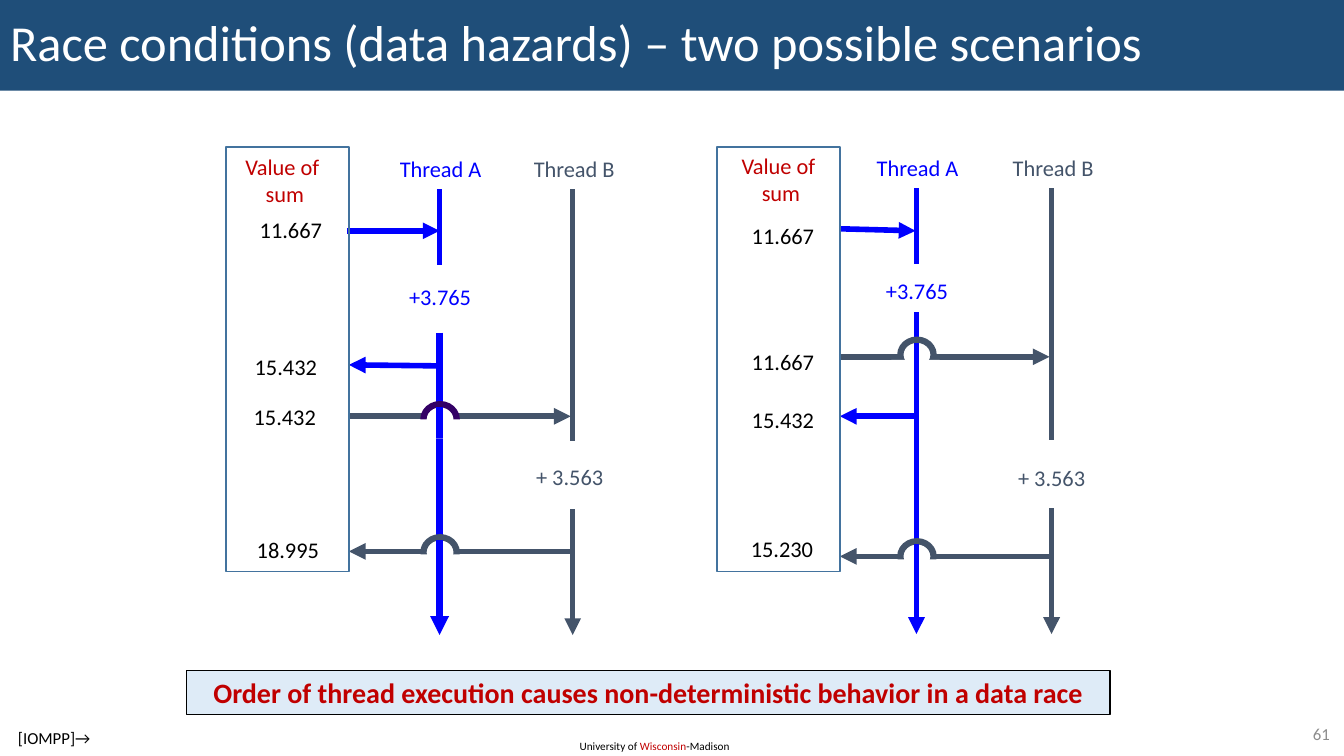
"""Build a slide comparing two thread interleavings that race on a shared sum."""
from lxml import etree
from pptx import Presentation
from pptx.dml.color import RGBColor
from pptx.enum.shapes import MSO_CONNECTOR, MSO_SHAPE
from pptx.enum.text import MSO_ANCHOR, MSO_AUTO_SIZE, PP_ALIGN
from pptx.oxml.ns import qn
from pptx.util import Inches, Pt

STRAIGHT = MSO_CONNECTOR.STRAIGHT
RECTANGLE, OVAL = MSO_SHAPE.RECTANGLE, MSO_SHAPE.OVAL
LEFT, CENTER, RIGHT = PP_ALIGN.LEFT, PP_ALIGN.CENTER, PP_ALIGN.RIGHT
MIDDLE = MSO_ANCHOR.MIDDLE
FIT_SHAPE, NO_FIT = MSO_AUTO_SIZE.SHAPE_TO_FIT_TEXT, MSO_AUTO_SIZE.NONE
COLORS = {
    "navy": "1F4E79", "white": "FFFFFF", "black": "000000", "red": "C00000",
    "thread_a": "0000FF", "thread_b": "44546A", "purple": "330066",
    "frame": "43739E", "pale": "DEEBF7", "gray": "8C8C8C",
}
RGB = {name: RGBColor.from_string(value) for name, value in COLORS.items()}

deck = Presentation()
deck.slide_width, deck.slide_height = Inches(13.33), Inches(7.5)
page = deck.slides.add_slide(deck.slide_layouts[5])


def write(box, lines, size, align, bold=False):
    """Fill a shape with lines, each a list of (text, color) runs."""
    frame = box.text_frame
    for index, line in enumerate(lines):
        para = frame.paragraphs[0] if index == 0 else frame.add_paragraph()
        para.alignment = align
        for text, color in line:
            span = para.add_run()
            span.text = text
            span.font.name, span.font.size, span.font.bold = "Calibri", Pt(size), bold
            span.font.color.rgb = RGB[color]


def draw_line(start, end, color, width=4, arrow=False):
    """Draw a straight line, with a triangle at its end if asked."""
    line = page.shapes.add_connector(STRAIGHT, *map(Inches, start + end))
    line.line.color.rgb = RGB[color]
    line.line.width = Pt(width)
    if arrow:
        etree.SubElement(line.line._get_or_add_ln(), qn("a:tailEnd"), type="triangle")
    etree.SubElement(line._element.spPr, qn("a:effectLst"))


title = page.shapes.title
title.left, title.top = Inches(0), Inches(0)
title.width, title.height = Inches(13.33), Inches(0.9)
title.fill.solid()
title.fill.fore_color.rgb = RGB["navy"]
title.text_frame.vertical_anchor = MIDDLE
title.text_frame.word_wrap = True
title.text_frame.auto_size = NO_FIT
write(title, [[("Race conditions (data hazards) – two possible scenarios", "white")]], 36, LEFT)
title.text_frame.paragraphs[0].line_spacing = 0.9

scenarios = [
    {
        "frame": 2.24, "a": 4.36, "b": 5.68, "top": 1.88, "resume_a": 3.3, "width_a": 4.5,
        "labels": [
            ("Value of \nsum", 2.33, 1.47, 0.99, "red"),
            ("Thread A", 3.86, 1.49, 1.02, "thread_a"),
            ("Thread B", 5.19, 1.49, 1.01, "thread_b"),
            ("11.667", 2.47, 2.1, 0.83, "black"),
            ("+3.765", 3.95, 2.76, 0.83, "thread_a"),
            ("15.432", 2.42, 3.45, 0.83, "black"),
            ("15.432", 2.41, 3.95, 0.83, "black"),
            ("+ 3.563", 5.21, 4.55, 0.88, "thread_b"),
            ("18.995", 2.44, 5.27, 0.83, "black"),
        ],
        "transfers": [((3.44, 2.29), (4.36, 2.29)), ((4.36, 3.63), (3.46, 3.62))],
        "crossings": [(5.47, 5.33, "write", "thread_b"), (4.13, 4.01, "read", "purple")],
    },
    {
        "frame": 7.11, "a": 9.09, "b": 10.43, "top": 1.87, "resume_a": 3.1, "width_a": 4,
        "labels": [
            ("Value of \nsum", 7.25, 1.46, 0.99, "red"),
            ("Thread A", 8.59, 1.48, 1.02, "thread_a"),
            ("Thread B", 9.94, 1.48, 1.01, "thread_b"),
            ("11.667", 7.35, 2.15, 0.83, "black"),
            ("+3.765", 8.68, 2.7, 0.83, "thread_a"),
            ("11.667", 7.35, 3.4, 0.83, "black"),
            ("15.432", 7.35, 3.98, 0.83, "black"),
            ("+ 3.563", 9.99, 4.56, 0.88, "thread_b"),
            ("15.230", 7.34, 5.26, 0.83, "black"),
        ],
        "transfers": [((8.33, 2.27), (9.08, 2.29)), ((9.09, 4.13), (8.33, 4.13))],
        "crossings": [(5.52, 5.37, "write", "thread_b"), (3.54, 3.37, "read", "thread_b")],
    },
]

for scenario in scenarios:
    a, b, top, width_a = (scenario[key] for key in ("a", "b", "top", "width_a"))
    frame_right = scenario["frame"] + 1.22
    bottom = top + 4.42

    for text, left, label_top, width, color in scenario["labels"]:
        lines = [[(line, color)] for line in text.split("\n")]
        height = 0.1 + 0.27 * len(lines)
        box = page.shapes.add_textbox(*map(Inches, (left, label_top, width, height)))
        box.text_frame.word_wrap = False
        box.text_frame.auto_size = FIT_SHAPE
        write(box, lines, 16, CENTER)

    for start, end in scenario["transfers"]:
        draw_line(start, end, "thread_a", arrow=True)
    draw_line((a, top), (a, top + 0.75), "thread_a")
    draw_line((a, scenario["resume_a"]), (a, bottom), "thread_a", width_a, arrow=True)
    draw_line((b, top), (b, top + 2.5), "thread_b")
    draw_line((b, top + 3.17), (b, bottom), "thread_b", arrow=True)

    for level, hop_top, action, hop_color in scenario["crossings"]:
        reads = action == "read"
        near, far = (a - 0.16, level), (a + 0.17, level)
        draw_line(near, (frame_right, level), "thread_b", arrow=not reads)
        draw_line(far, (b - 0.02, level), "thread_b", arrow=reads)
        hop = page.shapes.add_shape(OVAL, *map(Inches, (a - 0.16, hop_top, 0.33, 0.3)))
        hop.line.color.rgb = RGB[hop_color]
        hop.line.width = Pt(4.5)
        mask = page.shapes.add_shape(RECTANGLE, *map(Inches, (a - 0.25, level + 0.03, 0.48, 0.19)))
        mask.line.fill.background()
        for shape in (hop, mask):
            shape.shadow.inherit = False
            shape.fill.solid()
            shape.fill.fore_color.rgb = RGB["white"]
        draw_line((a, hop_top + 0.03), (a, level + 0.22), "thread_a", width_a)

    frame = page.shapes.add_shape(RECTANGLE, *map(Inches, (scenario["frame"], 1.46, 1.22, 4.21)))
    frame.shadow.inherit = False
    frame.fill.background()
    frame.line.color.rgb = RGB["frame"]
    frame.line.width = Pt(1)

banner = page.shapes.add_shape(RECTANGLE, *map(Inches, (1.85, 6.65, 9.16, 0.44)))
banner.shadow.inherit = False
banner.fill.solid()
banner.fill.fore_color.rgb = RGB["pale"]
banner.line.color.rgb = RGB["black"]
banner.line.width = Pt(0.75)
banner.text_frame.word_wrap = True
message = "Order of thread execution causes non-deterministic behavior in a data race"
write(banner, [[(message, "red")]], 20, CENTER, bold=True)

footers = [
    ((5.65, 7.28, 1.72, 0.24), 8, LEFT,
     [("University of ", "black"), ("Wisconsin", "red"), ("-Madison", "black")]),
    ((12.53, 7.13, 0.76, 0.29), 12, RIGHT, [("61", "gray")]),
    ((0.08, 7.17, 1.14, 0.3), 12, LEFT, [("[IOMPP]→", "black")]),
]
for place, size, align, runs in footers:
    box = page.shapes.add_textbox(*map(Inches, place))
    box.text_frame.word_wrap = True
    box.text_frame.vertical_anchor = MIDDLE
    write(box, [runs], size, align)

deck.save("out.pptx")
